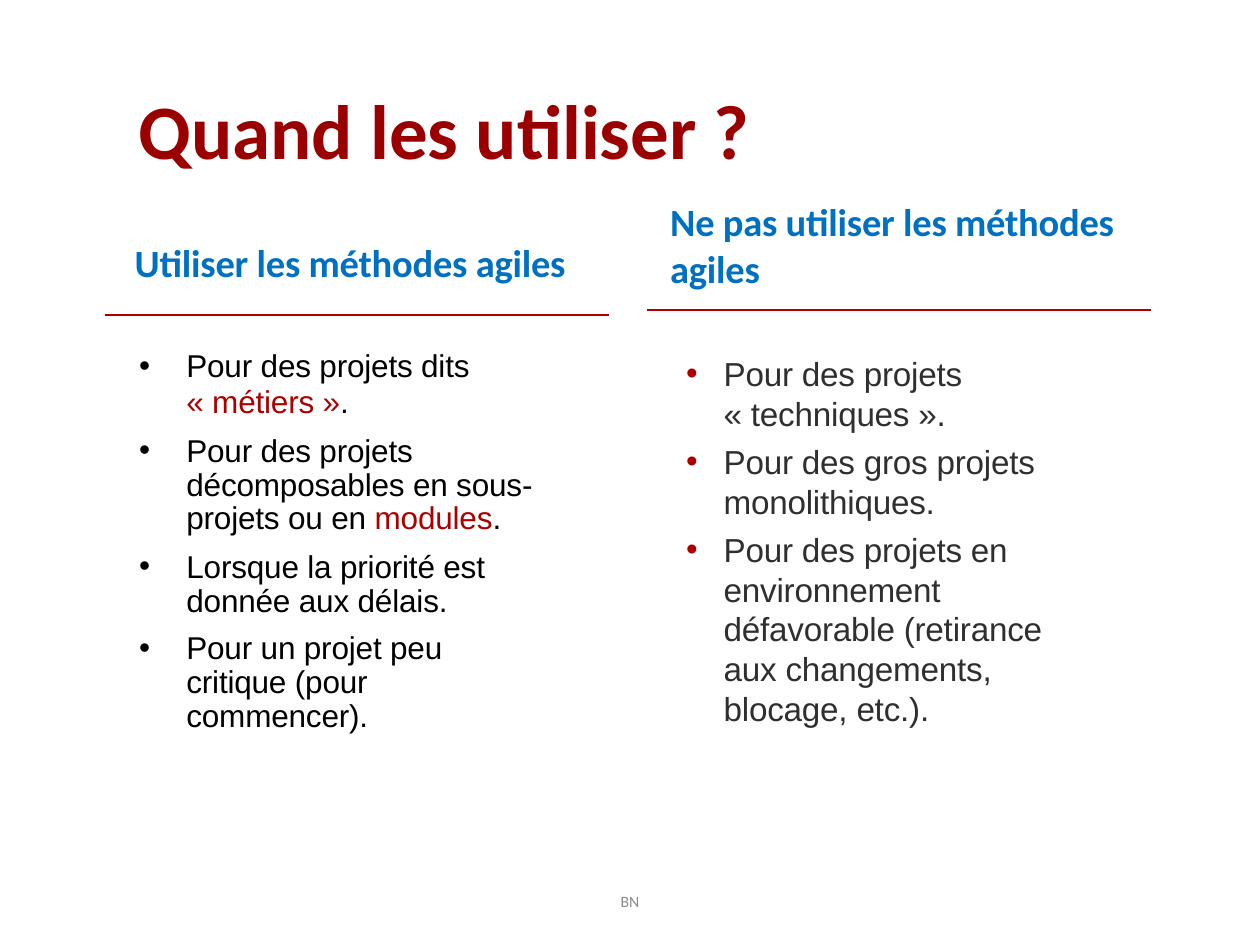
import dataclasses

import lxml.etree
import pptx
import pptx.dml.color
import pptx.enum.shapes
import pptx.enum.text
import pptx.oxml.ns
import pptx.util

Pt = pptx.util.Pt
Anchor = pptx.enum.text.MSO_ANCHOR
Align = pptx.enum.text.PP_ALIGN


@dataclasses.dataclass(frozen=True)
class Theme:
    """Colours, fonts and type sizes of the slide."""
    title: str = "9B0000"
    heading: str = "0070C0"
    accent: str = "AC0000"
    black: str = "000000"
    grey: str = "2F2F2F"
    footer: str = "8C8C8C"
    head_font: str = "Calibri"
    body_font: str = "Arial"
    title_size: float = 44
    heading_size: float = 22
    use_size: float = 18
    avoid_size: float = 19
    footer_size: float = 9


THEME = Theme()


def apply(target, formats):
    """Set each named attribute of the target."""
    for name, value in formats.items():
        setattr(target, name, value)


def add_box(page, box, anchor=Anchor.TOP, inset=(0, 1, 0, 0)):
    """Add a wrapping text box and return its text frame."""
    frame = page.shapes.add_textbox(*map(Pt, box)).text_frame
    left, top, right, bottom = map(Pt, inset)
    apply(frame, {"word_wrap": True, "vertical_anchor": anchor,
                  "margin_left": left, "margin_top": top,
                  "margin_right": right, "margin_bottom": bottom})
    return frame


def next_para(frame, index, formats):
    """Return the paragraph at the index, adding it after the first."""
    para = frame.add_paragraph() if index else frame.paragraphs[0]
    apply(para, formats)
    return para


def add_span(para, text, font, size, color, bold=False, tracking=0):
    """Add one formatted run to a paragraph."""
    span = para.add_run()
    span.text = text
    apply(span.font, {"name": font, "size": Pt(size), "bold": bold})
    span.font.color.rgb = pptx.dml.color.RGBColor.from_string(color)
    if tracking:
        span._r.get_or_add_rPr().set("spc", str(round(tracking * 100)))


def set_indent(para, indent, hanging, bullet_color):
    """Indent a paragraph, with a hanging bullet where hanging is not zero."""
    properties = para._p.get_or_add_pPr()
    properties.set("marL", str(Pt(indent)))
    properties.set("indent", str(-Pt(hanging)))
    if hanging:
        qn = pptx.oxml.ns.qn
        color = lxml.etree.SubElement(properties, qn("a:buClr"))
        lxml.etree.SubElement(color, qn("a:srgbClr"), val=bullet_color)
        lxml.etree.SubElement(properties, qn("a:buFont"), typeface=THEME.body_font)
        lxml.etree.SubElement(properties, qn("a:buChar"), char="•")


def draw_rule(page, left, top, width):
    """Draw the horizontal rule under a heading."""
    rule = page.shapes.add_connector(
        pptx.enum.shapes.MSO_CONNECTOR.STRAIGHT,
        Pt(left), Pt(top), Pt(left + width), Pt(top))
    rule.line.width = Pt(1.25)
    rule.line.color.rgb = pptx.dml.color.RGBColor.from_string(THEME.accent)
    lxml.etree.SubElement(rule._element.spPr, pptx.oxml.ns.qn("a:effectLst"))


def draw_title(page, box):
    """Draw the slide title."""
    para = next_para(add_box(page, box), 0, {"space_before": Pt(1)})
    add_span(para, "Quand les utiliser ?", THEME.head_font, THEME.title_size,
             THEME.title, bold=True)


def draw_heading(page, box, lines):
    """Draw a column heading, one paragraph a line."""
    frame = add_box(page, box, Anchor.MIDDLE)
    for index, line in enumerate(lines):
        para = next_para(frame, index, {"space_before": Pt(0.9)})
        add_span(para, line, THEME.head_font, THEME.heading_size,
                 THEME.heading, bold=True, tracking=-0.1)


def draw_list(page, box, items, size, color, bullet_color, indent, hanging):
    """Draw items of (bulleted, space before, line spacing, spans)."""
    frame = add_box(page, box)
    for index, (bulleted, before, spacing, spans) in enumerate(items):
        para = next_para(frame, index, {"space_before": Pt(before),
                                        "line_spacing": spacing})
        set_indent(para, indent, hanging if bulleted else 0, bullet_color)
        for text, accented in spans:
            add_span(para, text, THEME.body_font, size,
                     THEME.accent if accented else color, tracking=-0.1)


def draw_use_column(page, left, top, width):
    """Draw the column on when to use agile methods."""
    draw_rule(page, left, top + 69, width)
    draw_heading(page, (left + 17, top + 24.4, 256, 28),
                 ["Utiliser les méthodes agiles"])
    wide, tight = Pt(20.5), Pt(19.4)
    items = [
        (True, 1, wide, [("Pour des projets dits", False)]),
        (False, 0, wide, [("« métiers »", True), (".", False)]),
        (True, 8.3, tight, [("Pour des projets décomposables en sous- projets ou en ", False),
                            ("modules", True), (".", False)]),
        (True, 8.1, tight, [("Lorsque la priorité est donnée aux délais.", False)]),
        (True, 7.8, 0.9, [("Pour un projet peu critique (pour commencer).", False)]),
    ]
    draw_list(page, (left + 18.5, top + 87, 229, 222.5), items, THEME.use_size,
              THEME.black, THEME.black, indent=28, hanging=27)


def draw_avoid_column(page, left, top, width):
    """Draw the column on when not to use agile methods."""
    draw_rule(page, left, top + 66, width)
    draw_heading(page, (left + 13, top + 0.6, 258, 55.4),
                 ["Ne pas utiliser les méthodes", "agiles"])
    items = [
        (True, 0.9, 1.0, [("Pour des projets", False)]),
        (False, 0, 1.0, [("« techniques ».", False)]),
        (True, 4.6, 1.0, [("Pour des gros projets monolithiques.", False)]),
        (True, 4.5, 1.0, [("Pour des projets en environnement défavorable "
                           "(retirance aux changements, blocage, etc.).", False)]),
    ]
    draw_list(page, (left + 21, top + 90, 209, 216), items, THEME.avoid_size,
              THEME.grey, THEME.accent, indent=22.5, hanging=21.5)


def draw_footer(page, box):
    """Draw the centred footer."""
    frame = add_box(page, box, Anchor.MIDDLE, (7.2, 3.6, 7.2, 3.6))
    para = next_para(frame, 0, {"alignment": Align.CENTER})
    add_span(para, "BN", THEME.head_font, THEME.footer_size, THEME.footer)


def main():
    """Build and save the deck."""
    deck = pptx.Presentation()
    apply(deck, {"slide_width": Pt(720), "slide_height": Pt(540)})
    page = deck.slides.add_slide(deck.slide_layouts[6])
    draw_title(page, (79, 46, 467, 54))
    draw_use_column(page, 60, 111, 288)
    draw_avoid_column(page, 370, 111, 288)
    draw_footer(page, (238.5, 500.5, 243, 29))
    deck.save("out.pptx")


if __name__ == "__main__":
    main()
